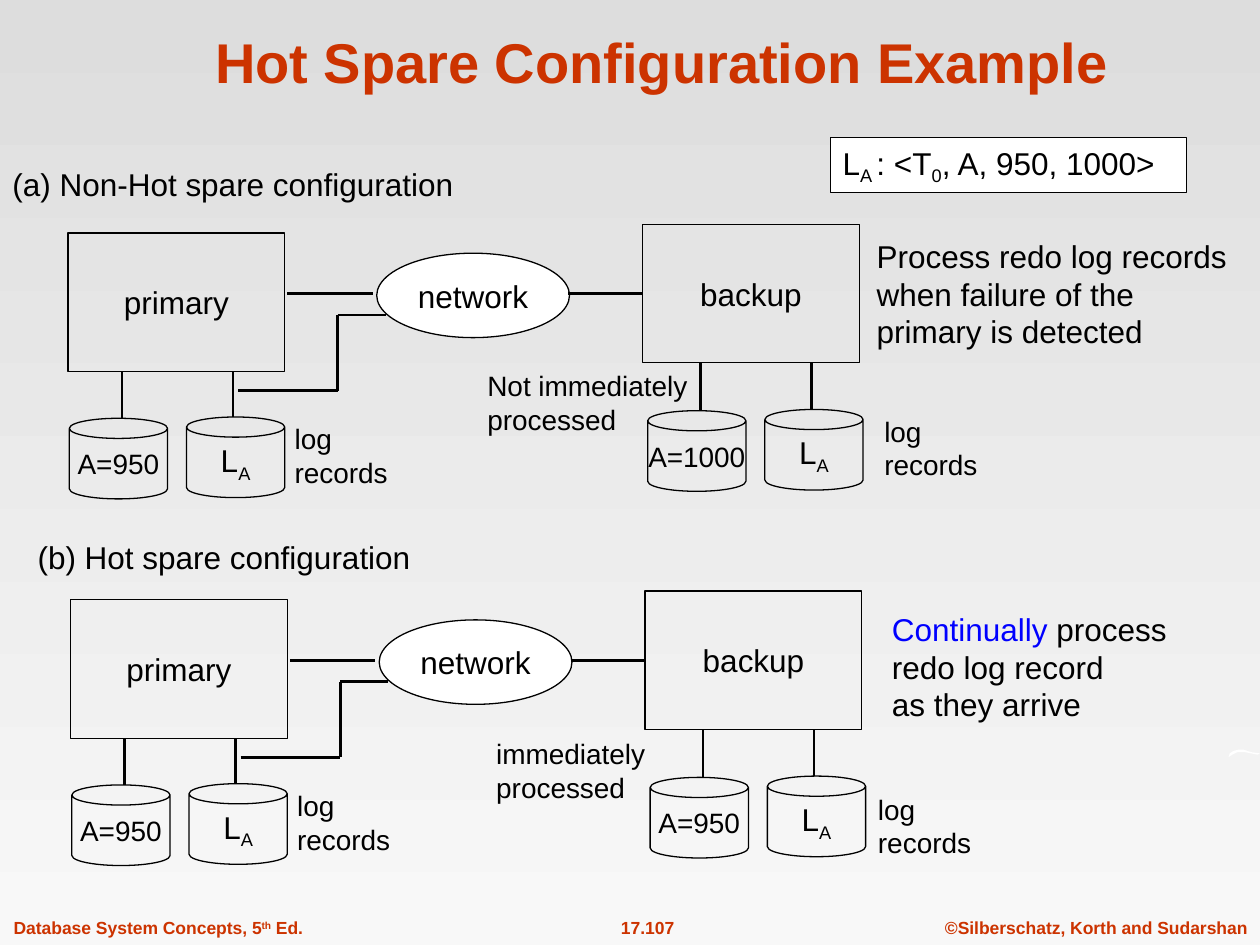
from pptx import Presentation
from pptx.dml.color import RGBColor
from pptx.enum.shapes import MSO_CONNECTOR, MSO_SHAPE as SHAPE
from pptx.enum.text import MSO_ANCHOR as ANCHOR, MSO_AUTO_SIZE as AUTO, PP_ALIGN as ALIGN
from pptx.oxml.ns import qn
from pptx.util import Inches, Pt
from lxml.etree import SubElement

COLORS = {"black": "000000", "white": "FFFFFF", "rust": "CC3300", "blue": "0000FF",
          "bg_top": "DDDDDD", "bg_bottom": "F8F8F8"}
FOOTER = {"size": 10, "color": "rust", "bold": True}
LOG_ITEM = [["L", ("A", {"baseline": -25})]]
LOG_RECORDS = [["log"], ["records"]]


def rgb(name):
    """Return the named palette colour."""
    return RGBColor.from_string(COLORS[name])


def write(sp, paragraphs, size=18, color="black", bold=False, align=ALIGN.LEFT,
          anchor=ANCHOR.TOP, wrap=False, grow=True):
    """Fill a shape with paragraphs made of strings or (string, format) runs."""
    tf = sp.text_frame
    frame = {"word_wrap": wrap, "vertical_anchor": anchor,
             "auto_size": AUTO.SHAPE_TO_FIT_TEXT if grow else AUTO.NONE}
    for key, value in frame.items():
        setattr(tf, key, value)
    for i, runs in enumerate(paragraphs):
        p = tf.paragraphs[0] if i == 0 else tf.add_paragraph()
        p.alignment = align
        for run in runs:
            text, extra = (run, {}) if isinstance(run, str) else run
            r = p.add_run()
            r.text = text
            for key, value in {"name": "Arial", "size": Pt(size), "bold": bold}.items():
                setattr(r.font, key, value)
            r.font.color.rgb = rgb(extra.get("color", color))
            if "baseline" in extra:
                r._r.get_or_add_rPr().set("baseline", str(extra["baseline"] * 1000))


def add_text(s, box, paragraphs, **fmt):
    """Add a text box at box (left, top, width, height)."""
    sp = s.shapes.add_textbox(*map(Inches, box))
    write(sp, paragraphs, **fmt)


def add_node(s, kind, box, paragraphs, fill=None, **fmt):
    """Add an outlined shape with text, centred unless told otherwise."""
    sp = s.shapes.add_shape(kind, *map(Inches, box))
    sp.shadow.inherit = False
    if fill:
        sp.fill.solid()
        sp.fill.fore_color.rgb = rgb(fill)
    else:
        sp.fill.background()
    sp.line.color.rgb = rgb("black")
    sp.line.width = Pt(0.75)
    centred = {"align": ALIGN.CENTER, "anchor": ANCHOR.MIDDLE, "grow": False}
    write(sp, paragraphs, **{**centred, **fmt})
    return sp


def add_line(s, x1, y1, x2, y2):
    """Add a straight black connector."""
    line = s.shapes.add_connector(MSO_CONNECTOR.STRAIGHT, *map(Inches, (x1, y1, x2, y2)))
    line.line.color.rgb = rgb("black")
    line.line.width = Pt(1.5)
    SubElement(line._element.spPr, qn("a:effectLst"))
    return line


def add_site(s, x, y, name, value, disk_x, disk_y):
    """Add a server box with its data disk and log disk, and return the box."""
    box = add_node(s, SHAPE.RECTANGLE, (x, y, 1.72, 1.1), [[name]])
    left, top = x + disk_x, y + disk_y
    disks = ((left, top, 0.42, [[value]], 16), (left + 0.93, top - 0.01, 0.37, LOG_ITEM, 18))
    for can_x, can_y, stem, content, size in disks:
        add_line(s, can_x + stem, y + 1.1, can_x + stem, can_y)
        add_node(s, SHAPE.CAN, (can_x, can_y, 0.78, 0.64), content, size=size)
    return box


def add_configuration(s, x, y, backup_value):
    """Add the primary, network and backup diagram with its top left at x, y."""
    add_site(s, x, y, "primary", "A=950", 0.01, 1.47)
    add_node(s, SHAPE.OVAL, (x + 2.45, y + 0.16, 1.53, 0.67), [["network"]], fill="white")
    backup = add_site(s, x + 4.56, y - 0.07, "backup", backup_value, 0.04, 1.48)
    add_line(s, x + 1.74, y + 0.48, x + 2.42, y + 0.48)
    bend = [(1.35, 1.25), (2.14, 1.25), (2.14, 0.65), (2.52, 0.65)]
    for (x1, y1), (x2, y2) in zip(bend, bend[1:]):
        add_line(s, x + x1, y + y1, x + x2, y + y2)
    link = add_line(s, x + 3.97, y + 0.48, x + 4.56, y + 0.48)
    link.end_connect(backup, 1)
    add_text(s, (x + 1.7, y + 1.45, 0.94, 0.64), LOG_RECORDS, size=16)


def add_swoosh(s):
    """Add the small white stroke at the right edge."""
    outline = [(9.76, 5.98), (9.79, 5.96), (9.83, 5.95), (9.87, 5.95), (9.93, 5.97), (10, 5.98),
               (9.98, 5.99), (9.88, 5.97), (9.82, 5.97), (9.78, 5.99), (9.75, 6.01)]
    pen = s.shapes.build_freeform(Inches(9.75), Inches(6.01), scale=1.0)
    pen.add_line_segments([(Inches(x), Inches(y)) for x, y in outline], close=True)
    sp = pen.convert_to_shape()
    sp.shadow.inherit = False
    sp.fill.solid()
    sp.fill.fore_color.rgb = rgb("white")
    sp.line.fill.background()


def paint_background(s):
    """Give the slide its vertical grey gradient."""
    fill = s.background.fill
    fill.gradient()
    fill.gradient_angle = 270
    for stop, name, position in zip(fill.gradient_stops, ("bg_top", "bg_bottom"), (0, 1)):
        stop.color.rgb = rgb(name)
        stop.position = position


def main():
    """Build the slide and save it."""
    prs = Presentation()
    prs.slide_width, prs.slide_height = Inches(10), Inches(7.5)
    s = prs.slides.add_slide(prs.slide_layouts[6])
    paint_background(s)

    add_text(s, (7.4, 7.23, 2.6, 0.27), [["©Silberschatz, Korth and Sudarshan"]],
             align=ALIGN.CENTER, **FOOTER)
    add_text(s, (4.61, 7.23, 1.06, 0.27), [["17.107"]], align=ALIGN.CENTER, **FOOTER)
    add_text(s, (0.01, 7.23, 2.8, 0.27),
             [["Database System Concepts, 5", ("th", {"baseline": 30}), " Ed."]],
             wrap=True, **FOOTER)
    add_swoosh(s)
    add_text(s, (0.84, 0.13, 8.83, 0.67), [["Hot Spare Configuration Example"]], size=32,
             color="rust", bold=True, align=ALIGN.CENTER, anchor=ANCHOR.BOTTOM, wrap=True,
             grow=False)

    add_configuration(s, 0.54, 1.85, "A=1000")
    add_configuration(s, 0.56, 4.76, "A=950")

    add_text(s, (0, 1.26, 3.7, 0.4), [["(a) Non-Hot spare configuration"]])
    add_text(s, (0.2, 4.22, 3.16, 0.4), [["(b) Hot spare configuration"]])
    add_text(s, (6.86, 1.83, 3.14, 1), [["Process redo log records"],
             ["when failure of the primary is detected"]], wrap=True)
    add_text(s, (6.98, 4.79, 2.39, 1), [[("Continually", {"color": "blue"}), " process"],
             ["redo log record"], ["as they arrive"]], wrap=True)
    add_text(s, (3.77, 2.88, 1.86, 0.64), [["Not immediately"], ["processed"]],
             size=16, wrap=True)
    add_text(s, (3.84, 5.8, 1.86, 0.64), [["immediately"], ["processed"]], size=16, wrap=True)
    for x, y in ((6.92, 3.24), (6.87, 6.24)):
        add_text(s, (x, y, 0.94, 0.64), LOG_RECORDS, size=16)
    add_node(s, SHAPE.RECTANGLE, (6.59, 1.09, 2.83, 0.44),
             [["L", ("A ", {"baseline": -25}), ": <T", ("0", {"baseline": -25}),
               ", A, 950, 1000>"]],
             fill="white", align=ALIGN.LEFT, anchor=ANCHOR.TOP, wrap=True, grow=True)
    prs.save("out.pptx")


if __name__ == "__main__":
    main()
